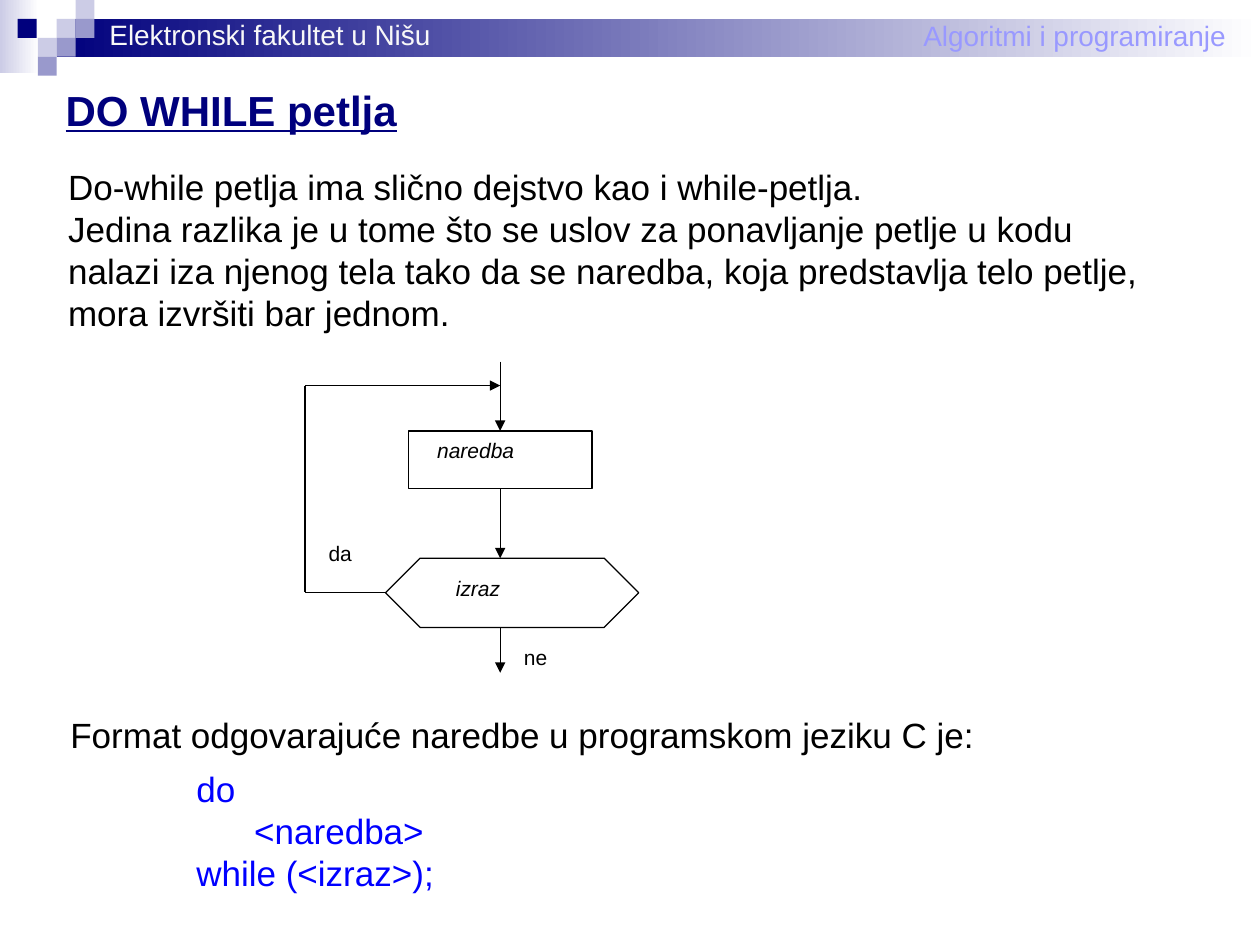
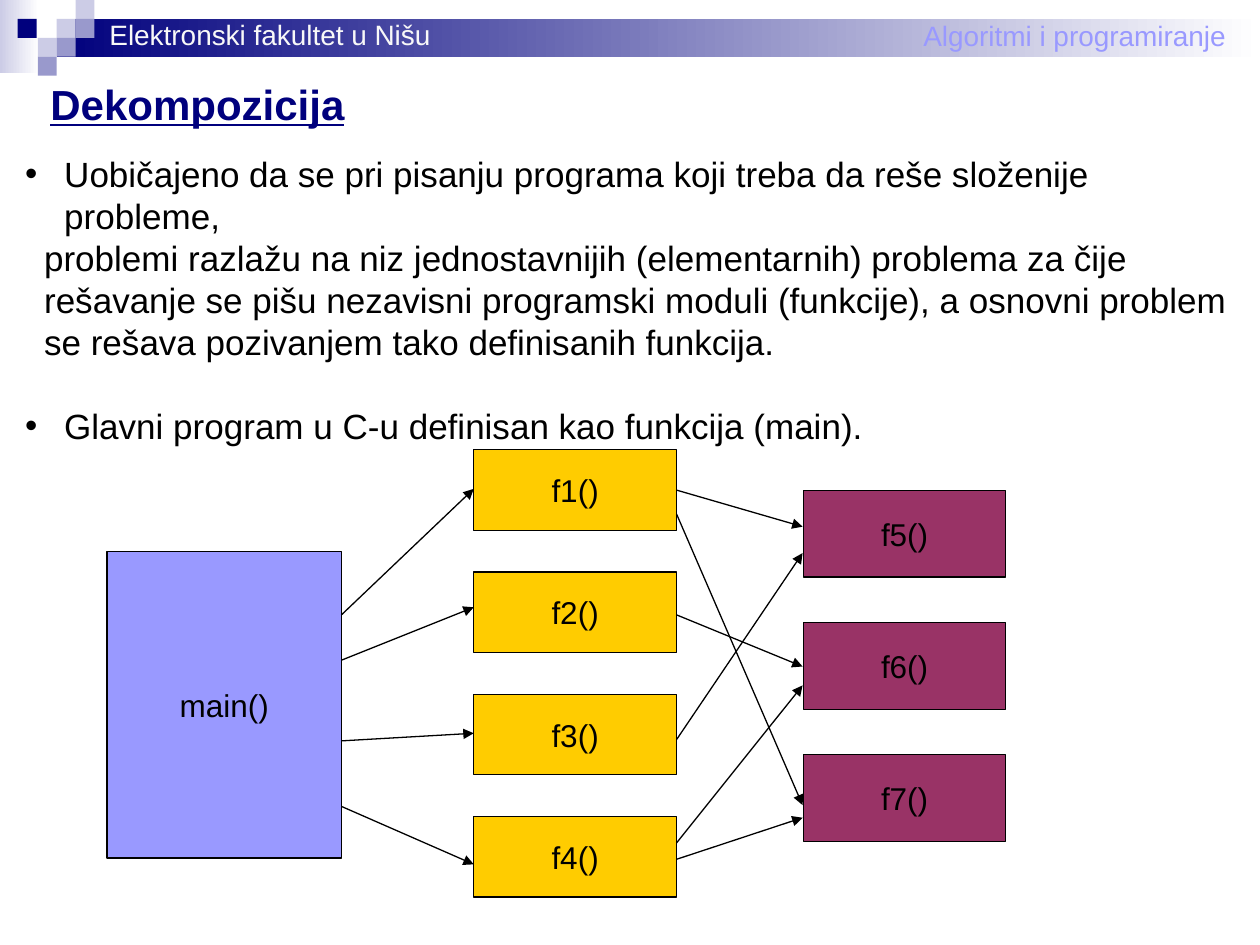
import pptx
import pptx.dml.color
import pptx.enum.dml
import pptx.enum.shapes
import pptx.enum.text
import pptx.oxml
import pptx.oxml.ns
import pptx.util

Inches = pptx.util.Inches
Pt = pptx.util.Pt
SHAPE = pptx.enum.shapes.MSO_SHAPE
ANCHOR = pptx.enum.text.MSO_ANCHOR
ALIGN = pptx.enum.text.PP_ALIGN

FONT = "Arial"
NAVY, LAVENDER, GREY_BLUE = "00007D", "CCCCE6", "9999CC"
PERIWINKLE, GOLD, PLUM = "9999FF", "FFCC00", "993366"
BLACK, WHITE, OFF_WHITE, BLUE = "000000", "FFFFFF", "F8F8F8", "0000FF"

SQUARE = 0.15
HEADER_SQUARES = [
    (0.45, 0.15, LAVENDER),
    (0.6, 0, LAVENDER),
    (0.6, 0.15, GREY_BLUE),
    (0.3, 0.3, LAVENDER),
    (0.14, 0.15, NAVY),
    (0.45, 0.3, GREY_BLUE),
    (0.3, 0.45, GREY_BLUE),
]


def color(hex_string):
    return pptx.dml.color.RGBColor.from_string(hex_string)


def add_element(parent, tag, **attributes):
    element = pptx.oxml.parse_xml(f"<a:{tag} {pptx.oxml.ns.nsdecls('a')}/>")
    for name, value in attributes.items():
        element.set(name, value)
    parent.append(element)


def add_span(para, text, size, hex_string=BLACK, bold=None, italic=None, underline=None):
    span = para.add_run()
    span.text = text
    font = span.font
    font.name, font.size = FONT, Pt(size)
    font.bold, font.italic, font.underline = bold, italic, underline
    font.color.rgb = color(hex_string)


def set_indent(para, left=0, hanging=0, bullet=None):
    properties = para._p.get_or_add_pPr()
    properties.set("marL", str(Inches(left)))
    properties.set("indent", str(-Inches(hanging)))
    if bullet:
        add_element(properties, "buChar", char=bullet)
    else:
        add_element(properties, "buNone")


def next_para(frame, index):
    return frame.paragraphs[0] if index == 0 else frame.add_paragraph()


def place(shape, left, top, width, height):
    shape.left, shape.top = Inches(left), Inches(top)
    shape.width, shape.height = Inches(width), Inches(height)
    frame = shape.text_frame
    frame.word_wrap = True
    frame.auto_size = pptx.enum.text.MSO_AUTO_SIZE.NONE
    frame.vertical_anchor = ANCHOR.TOP
    return frame


def add_title(page, text, left, top, width):
    para = place(page.shapes.title, left, top, width, 0.5).paragraphs[0]
    para.alignment = ALIGN.LEFT
    add_span(para, text, 24, NAVY, bold=True, underline=True)


def add_body(page, lines, left, top, width, height):
    frame = place(page.placeholders[1], left, top, width, height)
    for index, (text, indent, bullet, before) in enumerate(lines):
        para = next_para(frame, index)
        para.space_before = Pt(before)
        set_indent(para, indent, indent if bullet else 0, bullet)
        add_span(para, text, 20)


def add_label(page, text, left, top, width, height, size=12, hex_string=BLACK, italic=None):
    box = page.shapes.add_textbox(0, 0, 0, 0)
    frame = place(box, left, top, width, height)
    add_span(frame.paragraphs[0], text, size, hex_string, italic=italic)


def add_block(page, left, top, width, height, fill, outline=None, kind=SHAPE.RECTANGLE):
    block = page.shapes.add_shape(
        kind, Inches(left), Inches(top), Inches(width), Inches(height))
    block.shadow.inherit = False
    block.fill.solid()
    block.fill.fore_color.rgb = color(fill)
    if outline:
        block.line.color.rgb = color(outline)
        block.line.width = Pt(0.75)
    else:
        block.line.fill.background()
    return block


def add_fading_band(page, left, top, width, height, start):
    band = add_block(page, left, top, width, height, start)
    band.fill.gradient()
    band.fill.gradient_angle = 0
    for stop, position, shade in zip(band.fill.gradient_stops, (0, 1), (start, WHITE)):
        stop.position = position
        stop.color.rgb = color(shade)


def add_line(page, start, end, arrow=True):
    line = page.shapes.add_connector(
        pptx.enum.shapes.MSO_CONNECTOR.STRAIGHT,
        *(Inches(value) for value in (*start, *end)))
    line.line.color.rgb = color(BLACK)
    line.line.width = Pt(0.75)
    if arrow:
        add_element(line.line._get_or_add_ln(), "tailEnd", type="triangle")
    add_element(line._element.spPr, "effectLst")


def add_function_box(page, name, left, top, width, height, fill):
    box = add_block(page, left, top, width, height, fill, BLACK)
    frame = box.text_frame
    frame.vertical_anchor = ANCHOR.MIDDLE
    para = frame.paragraphs[0]
    para.alignment = ALIGN.CENTER
    add_span(para, name, 18)


def add_code_format(page):
    box = page.shapes.add_textbox(0, 0, 0, 0)
    frame = place(box, 0.46, 5.61, 7.6, 1.54)
    lines = [
        ("Format odgovarajuće naredbe u programskom jeziku C je:", 0, BLACK, 1),
        ("do", 1, BLUE, 1.3),
        ("<naredba>", 1.46, BLUE, 1),
        ("while (<izraz>);", 1, BLUE, 1),
    ]
    for index, (text, indent, shade, spacing) in enumerate(lines):
        para = next_para(frame, index)
        para.line_spacing = spacing
        set_indent(para, indent)
        add_span(para, text, 20, shade)


def add_loop_chart(page):
    axis, loop_left, loop_top = 3.97, 2.42, 3.06
    hexagon_left, hexagon_top, hexagon_height = 3.06, 4.43, 0.55
    hexagon_middle = 4.7
    hexagon_bottom = hexagon_top + hexagon_height
    statement_top, statement_height = 3.42, 0.46

    hexagon = add_block(page, hexagon_left, hexagon_top, 2.01, hexagon_height,
                        WHITE, BLACK, SHAPE.HEXAGON)
    hexagon.adjustments[0] = 0.5
    statement = add_block(page, 3.24, statement_top, 1.46, statement_height, WHITE, BLACK)
    frame = statement.text_frame
    frame.vertical_anchor = ANCHOR.TOP
    frame.margin_left = Inches(0.23)
    frame.paragraphs[0].alignment = ALIGN.LEFT
    add_span(frame.paragraphs[0], "naredba", 12, italic=True)

    add_line(page, (axis, 2.87), (axis, statement_top))
    add_line(page, (axis, statement_top + statement_height), (axis, hexagon_top))
    add_line(page, (axis, hexagon_bottom), (axis, 5.34))
    add_line(page, (hexagon_left, hexagon_middle), (loop_left, hexagon_middle), arrow=False)
    add_line(page, (loop_left, hexagon_middle), (loop_left, loop_top), arrow=False)
    add_line(page, (loop_left, loop_top), (axis, loop_top))

    add_label(page, "izraz", 3.52, 4.52, 1.1, 0.37, italic=True)
    add_label(page, "da", 2.51, 4.24, 0.57, 0.36)
    add_label(page, "ne", 4.06, 5.07, 0.46, 0.27)


def add_call_graph(page):
    main_left, main_width = 0.85, 1.86
    middle_left, middle_width = 3.76, 1.61
    right_left = 6.38
    add_function_box(page, "main()", main_left, 4.38, main_width, 2.43, PERIWINKLE)
    for row in range(4):
        add_function_box(page, f"f{row + 1}()", middle_left, 3.57 + 0.97 * row,
                         middle_width, 0.64, GOLD)
    for row in range(3):
        add_function_box(page, f"f{row + 5}()", right_left, 3.89 + 1.05 * row,
                         1.6, 0.69, PLUM)

    calls_from_main = [(4.88, 3.88), (5.24, 4.82), (5.88, 5.82), (6.4, 6.86)]
    calls_from_middle = [(3.89, 4.18), (4.08, 6.39), (4.88, 5.29),
                         (5.87, 4.39), (6.82, 6.49), (6.69, 5.44)]
    for start, end, calls in (
            (main_left + main_width, middle_left, calls_from_main),
            (middle_left + middle_width, right_left - 0.01, calls_from_middle)):
        for start_height, end_height in calls:
            add_line(page, (start, start_height), (end, end_height))


def add_page(deck):
    page = deck.slides.add_slide(deck.slide_layouts[1])
    add_fading_band(page, 0, 0, 0.31, 0.58, LAVENDER)
    add_fading_band(page, 0.45, 0.15, 9.55, 0.3, NAVY)
    for left, top, shade in HEADER_SQUARES:
        add_block(page, left, top, SQUARE, SQUARE, shade)
    add_label(page, "Algoritmi i programiranje", 7.23, 0.1, 2.7, 0.37, 16, PERIWINKLE)
    add_label(page, "Elektronski fakultet u Nišu", 0.77, 0.09, 2.85, 0.37, 16, OFF_WHITE)
    return page


def main():
    deck = pptx.Presentation()
    deck.slide_width, deck.slide_height = Inches(10), Inches(7.5)

    page = add_page(deck)
    add_title(page, "DO WHILE petlja", 0.42, 0.62, 2.95)
    add_body(page, [
        ("Do-while petlja ima slično dejstvo kao i while-petlja.", 0, None, 0),
        ("Jedina razlika je u tome što se uslov za ponavljanje petlje u kodu", 0, None, 0),
        ("nalazi iza njenog tela tako da se naredba, koja predstavlja telo petlje,", 0, None, 0),
        ("mora izvršiti bar jednom.", 0, None, 0),
    ], 0.44, 1.26, 8.9, 1.44)
    add_loop_chart(page)
    add_code_format(page)

    page = add_page(deck)
    add_title(page, "Dekompozicija", 0.3, 0.57, 2.65)
    add_body(page, [
        ("Uobičajeno da se pri pisanju programa koji treba da reše složenije probleme,",
         0.31, "•", 0),
        ("problemi razlažu na niz jednostavnijih (elementarnih) problema za čije",
         0.15, None, 0),
        ("rešavanje se pišu nezavisni programski moduli (funkcije), a osnovni problem",
         0.15, None, 0),
        ("se rešava pozivanjem tako definisanih funkcija.", 0.15, None, 0),
        ("Glavni program u C-u definisan kao funkcija (main).", 0.31, "•", 24),
    ], 0.1, 1.16, 9.9, 2.1)
    add_call_graph(page)

    deck.save("out.pptx")


if __name__ == "__main__":
    main()
